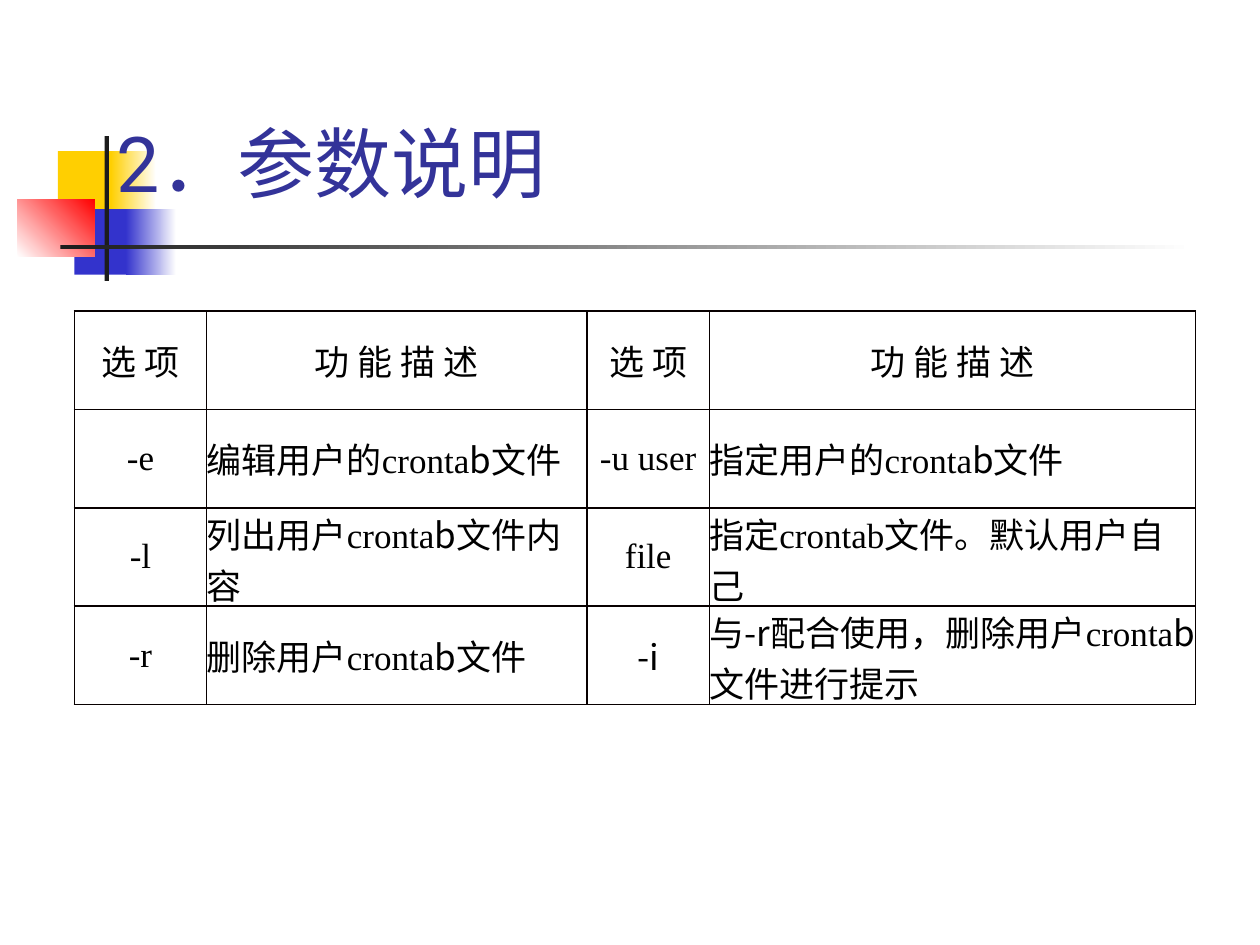
from typing import NamedTuple

import pptx
import pptx.dml.color
import pptx.enum.shapes
import pptx.enum.text
import pptx.oxml
import pptx.oxml.ns
import pptx.util
from pptx.util import Pt

SERIF = "Times New Roman"
SANS = "Noto Sans CJK SC"
TEXT, BORDER, WHITE = "000000", "080000", "FFFFFF"
YELLOW, BLUE, RED, DARK = "FFCF01", "3333CC", "FF0000", "1C1C1C"
CENTER = pptx.enum.text.PP_ALIGN.CENTER
LEFT = pptx.enum.text.PP_ALIGN.LEFT


class Block(NamedTuple):
    left: float
    top: float
    width: float
    height: float
    start: str
    end: str = ""
    angle: float = 0


class Piece(NamedTuple):
    text: str
    font: str = SERIF


DECORATION = [
    Block(33.12, 86.4, 34.56, 37.44, YELLOW),
    Block(63.36, 86.4, 25.92, 37.44, YELLOW, WHITE),
    Block(42.48, 119.52, 33.12, 37.44, BLUE),
    Block(72, 119.52, 28.8, 37.44, BLUE, WHITE),
    Block(10.08, 113.76, 43.92, 33.12, WHITE, RED, 45),
    Block(59.76, 77.76, 2.5, 82.8, DARK),
    Block(34.56, 140.1, 648, 2.5, DARK, WHITE),
]

B = Piece("b", SANS)
FILE = Piece("文件")
HEADER = [[Piece("选 项")], [Piece("功 能 描 述")]] * 2
OPTIONS = [
    HEADER,
    [[Piece("-e")], [Piece("编辑用户的cronta"), B, FILE],
     [Piece("-u user")], [Piece("指定用户的cronta"), B, FILE]],
    [[Piece("-l")],
     [Piece("列"), Piece("出", SANS), Piece("用户cronta"), B, Piece("文件内容")],
     [Piece("file")], [Piece("指定crontab文件。默认用户自己")]],
    [[Piece("-r")], [Piece("删除用户cronta"), B, FILE],
     [Piece("-i", SANS)],
     [Piece("与-r配合使用，删除用户", SANS), Piece("cronta"), B, FILE,
      Piece("进行提示", SANS)]],
]
COLUMN_WIDTHS = [75.6, 217.44, 69.84, 277.92]
ROW_HEIGHT = 56.16


def rgb(value: str) -> pptx.dml.color.RGBColor:
    return pptx.dml.color.RGBColor.from_string(value)


def add_block(slide, block: Block) -> None:
    shape = slide.shapes.add_shape(
        pptx.enum.shapes.MSO_SHAPE.RECTANGLE,
        Pt(block.left), Pt(block.top), Pt(block.width), Pt(block.height))
    shape.shadow.inherit = False
    shape.line.fill.background()
    if not block.end:
        shape.fill.solid()
        shape.fill.fore_color.rgb = rgb(block.start)
        return
    shape.fill.gradient()
    shape.fill.gradient_angle = block.angle
    for stop, color in zip(shape.fill.gradient_stops, (block.start, block.end)):
        stop.color.rgb = rgb(color)


def add_run(paragraph, piece: Piece, size: float, color: str) -> None:
    run = paragraph.add_run()
    run.text = piece.text
    run.font.size = Pt(size)
    run.font.color.rgb = rgb(color)
    run.font.name = piece.font
    east_asian = pptx.oxml.parse_xml(
        f'<a:ea {pptx.oxml.ns.nsdecls("a")} typeface="{SANS}"/>')
    run.font._element.append(east_asian)


def add_title(slide) -> None:
    box = slide.shapes.add_textbox(Pt(59.76), Pt(31.68), Pt(642.24), Pt(90.72))
    frame = box.text_frame
    frame.word_wrap = True
    frame.vertical_anchor = pptx.enum.text.MSO_ANCHOR.BOTTOM
    add_run(frame.paragraphs[0], Piece("2．参数说明", "Roboto"), 44, "333399")


def set_borders(cell, widths: dict[str, float]) -> None:
    properties = cell._tc.get_or_add_tcPr()
    for side, width in widths.items():
        properties.append(pptx.oxml.parse_xml(
            f'<a:ln{side} {pptx.oxml.ns.nsdecls("a")} w="{Pt(width)}">'
            f'<a:solidFill><a:srgbClr val="{BORDER}"/></a:solidFill></a:ln{side}>'))


def add_options_table(slide) -> None:
    table = slide.shapes.add_table(
        len(OPTIONS), len(COLUMN_WIDTHS), Pt(42.48), Pt(177.84),
        Pt(sum(COLUMN_WIDTHS)), Pt(ROW_HEIGHT * len(OPTIONS))).table
    table.first_row = table.horz_banding = False
    for column, width in zip(table.columns, COLUMN_WIDTHS):
        column.width = Pt(width)
    for r, option_row in enumerate(OPTIONS):
        table.rows[r].height = Pt(ROW_HEIGHT)
        for c, pieces in enumerate(option_row):
            cell = table.cell(r, c)
            cell.margin_left = cell.margin_right = Pt(0)
            cell.margin_top = cell.margin_bottom = Pt(0)
            cell.vertical_anchor = pptx.enum.text.MSO_ANCHOR.MIDDLE
            set_borders(cell, {"L": 0.5 if c == 3 else 1,
                               "R": 0.5 if c == 2 else 1, "T": 1, "B": 1})
            cell.fill.background()
            paragraph = cell.text_frame.paragraphs[0]
            paragraph.alignment = CENTER if r == 0 or c % 2 == 0 else LEFT
            for piece in pieces:
                add_run(paragraph, piece, 20, TEXT)


def main() -> None:
    presentation = pptx.Presentation()
    presentation.slide_width, presentation.slide_height = Pt(720), Pt(540)
    slide = presentation.slides.add_slide(presentation.slide_layouts[6])
    for block in DECORATION:
        add_block(slide, block)
    add_title(slide)
    add_options_table(slide)
    presentation.save("out.pptx")


if __name__ == "__main__":
    main()
